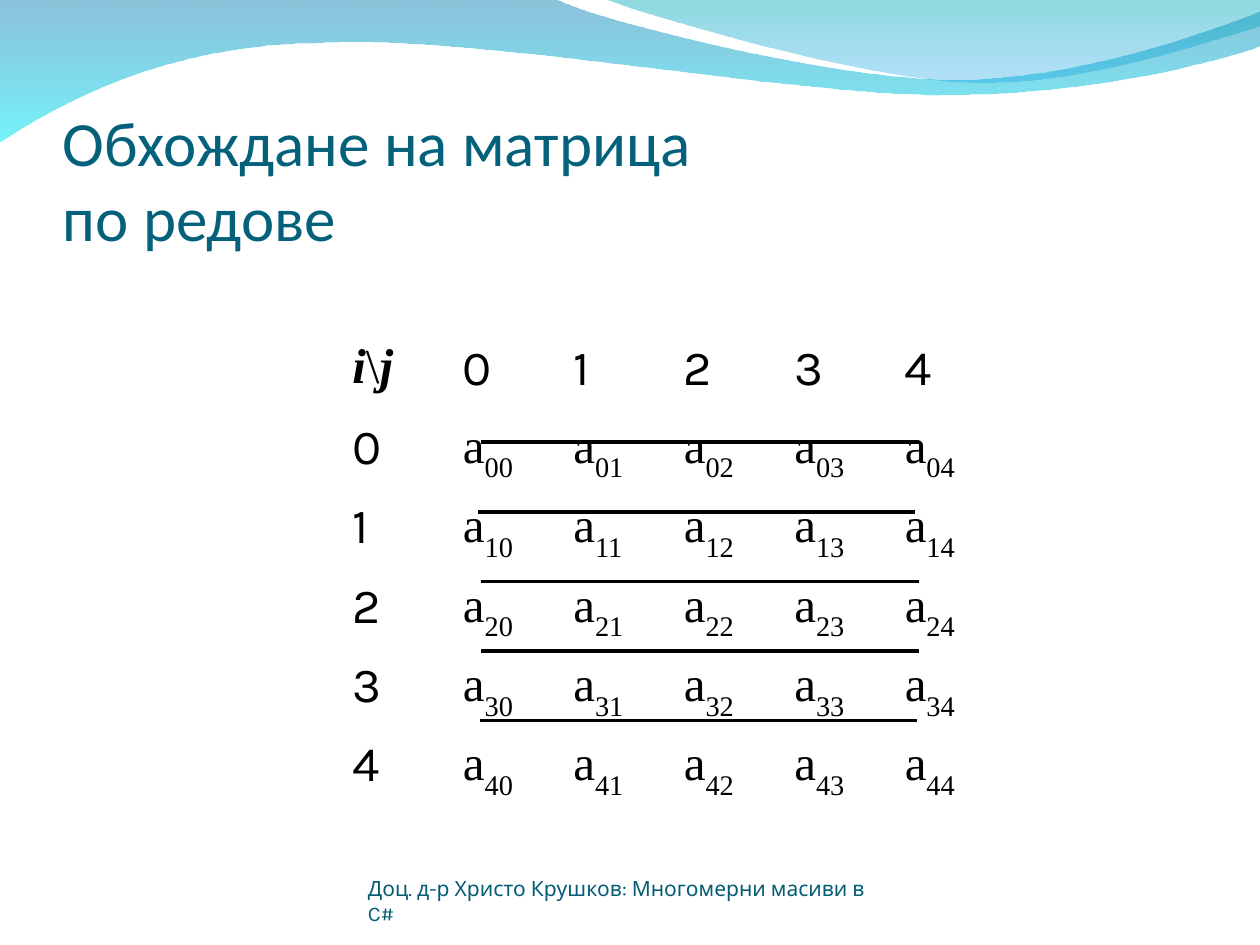
from lxml import etree
from pptx import Presentation
from pptx.dml.color import RGBColor
from pptx.enum.shapes import MSO_CONNECTOR
from pptx.enum.text import MSO_ANCHOR, PP_ALIGN
from pptx.oxml.ns import qn
from pptx.util import Inches, Pt

STRAIGHT = MSO_CONNECTOR.STRAIGHT
BOTTOM = MSO_ANCHOR.BOTTOM
LEFT, JUSTIFY = PP_ALIGN.LEFT, PP_ALIGN.JUSTIFY

THEME = {
    "title": ("Calibri", 36, "04617B"),
    "footer": ("Karla", 12, "045C75"),
    "index": ("Karla", 28, "000000"),
    "element": ("Times New Roman", 28, "000000"),
    "line": ("000000", 2),
    "left_wave": (("0079AF", 45), ("00EBF8", 55)),
    "right_wave": (("00ADB6", 45), ("009BE5", 30)),
}

TITLE = "Обхождане на матрица \vпо редове"
FOOTER = "Доц. д-р Христо Крушков: Многомерни масиви в C#"
CORNER = ("i", "\\", "j")
ELEMENT = "а"
SIZE = 5

COLUMNS = 7
TABLE_LEFT, TABLE_TOP, TABLE_WIDTH = 1.82, 2.02, 6.14
ROW_HEIGHTS = [0.63] * 8 + [0.48]

TRAVERSAL_STARTS = [3.82, 3.79, 3.82, 3.82, 3.81]
TRAVERSAL_TOP, TRAVERSAL_BOTTOM, TRAVERSAL_LENGTH = 3.51, 5.72, 3.47

WAVES = {
    "left_wave": [
        (0, -0.01), (4.4, -0.01),
        (4.76, 0.17, 6.64, 0.63, 7.58, 0.63),
        (8.53, 0.63, 9.58, 0.26, 10, 0.09),
        (10.01, 0.36),
        (9.83, 0.44, 8.7, 0.76, 7.46, 0.75),
        (6.22, 0.75, 3.82, 0.28, 2.57, 0.34),
        (1.29, 0.35, 0.46, 0.83, -0.01, 1.13),
    ],
    "right_wave": [
        (4.79, -0.01),
        (5.09, 0.11, 6.82, 0.62, 7.69, 0.65),
        (8.56, 0.69, 9.61, 0.32, 10, 0.21),
        (10, 0),
    ],
}


def bend_segments(wave, segments):
    for straight, segment in zip(list(wave._element.iter(qn("a:lnTo"))), segments):
        if len(segment) == 2:
            continue
        curve = etree.Element(qn("a:cubicBezTo"))
        for x, y in zip(segment[::2], segment[1::2]):
            point = etree.SubElement(curve, qn("a:pt"))
            point.set("x", str(Inches(x) - wave.left))
            point.set("y", str(Inches(y) - wave.top))
        straight.getparent().replace(straight, curve)


def add_wave(slide, role):
    segments = WAVES[role]
    anchors = [tuple(map(Inches, segment[-2:])) for segment in segments]
    builder = slide.shapes.build_freeform(*anchors[0])
    builder.add_line_segments(anchors[1:], close=True)
    wave = builder.convert_to_shape()
    bend_segments(wave, segments[1:])
    wave.shadow.inherit = False
    wave.line.fill.background()
    wave.fill.gradient()
    wave.fill.gradient_angle = 270
    for stop, (color, _) in zip(wave.fill.gradient_stops, THEME[role]):
        stop.color.rgb = RGBColor.from_string(color)
    for tint, (_, opacity) in zip(wave._element.spPr.iter(qn("a:srgbClr")), THEME[role]):
        etree.SubElement(tint, qn("a:alpha")).set("val", str(opacity * 1000))


def style_run(run, role):
    name, size, color = THEME[role]
    run.font.name = name
    run.font.size = Pt(size)
    run.font.color.rgb = RGBColor.from_string(color)


def add_text(slide, text, role, box, top_inset=0):
    frame = slide.shapes.add_textbox(*map(Inches, box)).text_frame
    frame.word_wrap = True
    frame.vertical_anchor = BOTTOM
    frame.margin_left = frame.margin_right = frame.margin_bottom = 0
    frame.margin_top = Inches(top_inset)
    frame.text = text
    for run in frame.paragraphs[0].runs:
        style_run(run, role)


def fill_cell(cell, pieces, role):
    paragraph = cell.text_frame.paragraphs[0]
    paragraph.alignment = LEFT if role == "index" else JUSTIFY
    if role == "index":
        paragraph.space_before = Pt(7)
    for piece in pieces:
        run = paragraph.add_run()
        run.text = piece
        style_run(run, role)
    return paragraph.runs


def add_matrix(slide):
    matrix = slide.shapes.add_table(
        len(ROW_HEIGHTS), COLUMNS, Inches(TABLE_LEFT), Inches(TABLE_TOP),
        Inches(TABLE_WIDTH), Inches(sum(ROW_HEIGHTS))).table
    matrix.first_row = matrix.horz_banding = False
    for column in matrix.columns:
        column.width = Inches(TABLE_WIDTH / COLUMNS)
    for row, height in zip(matrix.rows, ROW_HEIGHTS):
        row.height = Inches(height)
    for cell in matrix.iter_cells():
        cell.fill.background()

    for run in fill_cell(matrix.cell(1, 1), CORNER, "element"):
        run.font.bold = run.font.italic = run.text != "\\"
    for i in range(SIZE):
        fill_cell(matrix.cell(1, i + 2), [str(i)], "index")
        fill_cell(matrix.cell(i + 2, 1), [str(i)], "index")
        for j in range(SIZE):
            _, subscript = fill_cell(matrix.cell(i + 2, j + 2), [ELEMENT, f"{i}{j}"], "element")
            subscript._r.get_or_add_rPr().set("baseline", "-30000")


def add_traversal(slide):
    color, width = THEME["line"]
    step = (TRAVERSAL_BOTTOM - TRAVERSAL_TOP) / (SIZE - 1)
    for row, start in enumerate(TRAVERSAL_STARTS):
        y = Inches(TRAVERSAL_TOP + row * step)
        line = slide.shapes.add_connector(
            STRAIGHT, Inches(start), y, Inches(start + TRAVERSAL_LENGTH), y)
        line.line.color.rgb = RGBColor.from_string(color)
        line.line.width = Pt(width)
        etree.SubElement(line._element.spPr, qn("a:effectLst"))


def main():
    deck = Presentation()
    deck.slide_width, deck.slide_height = Inches(10), Inches(7.5)
    slide = deck.slides.add_slide(deck.slide_layouts[6])
    for role in WAVES:
        add_wave(slide, role)
    add_matrix(slide)
    add_text(slide, TITLE, "title", (0.5, 0.77, 9, 1.25), top_inset=0.05)
    add_text(slide, FOOTER, "footer", (2.92, 6.95, 4.19, 0.4))
    add_traversal(slide)
    deck.save("out.pptx")


if __name__ == "__main__":
    main()
